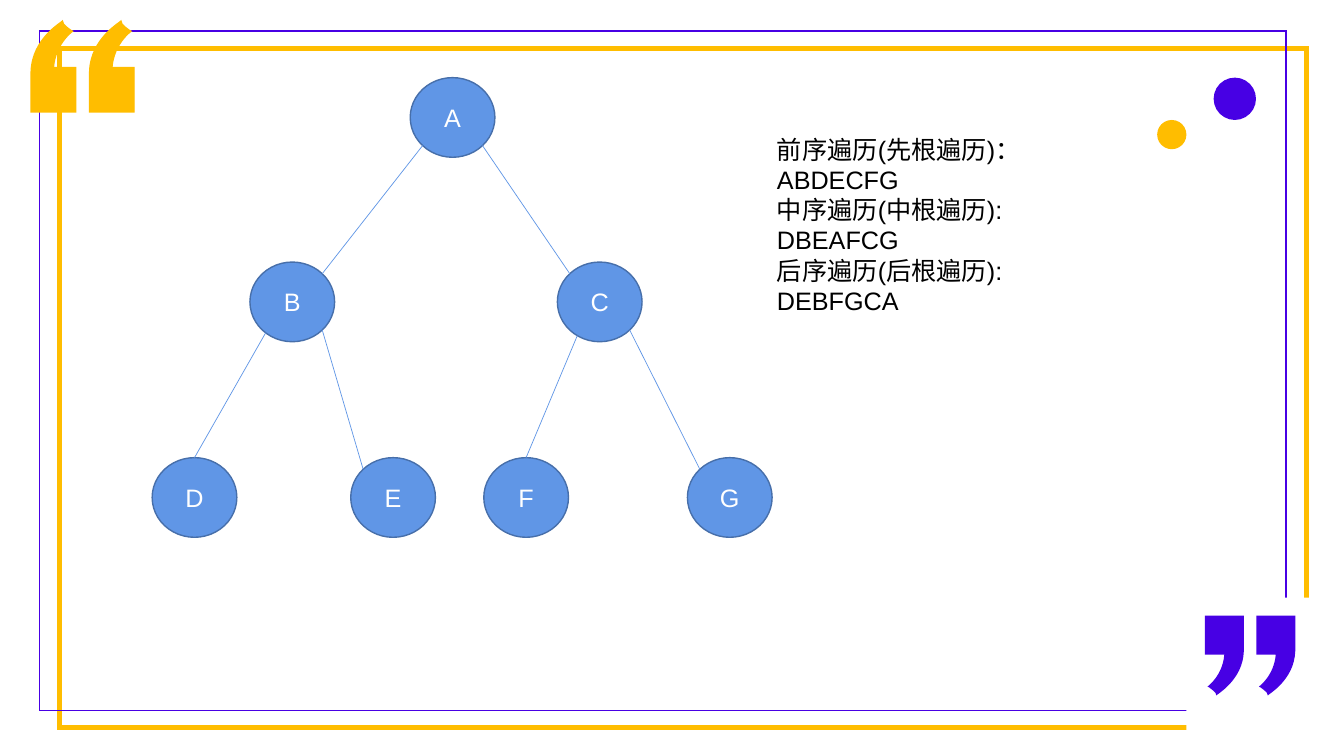
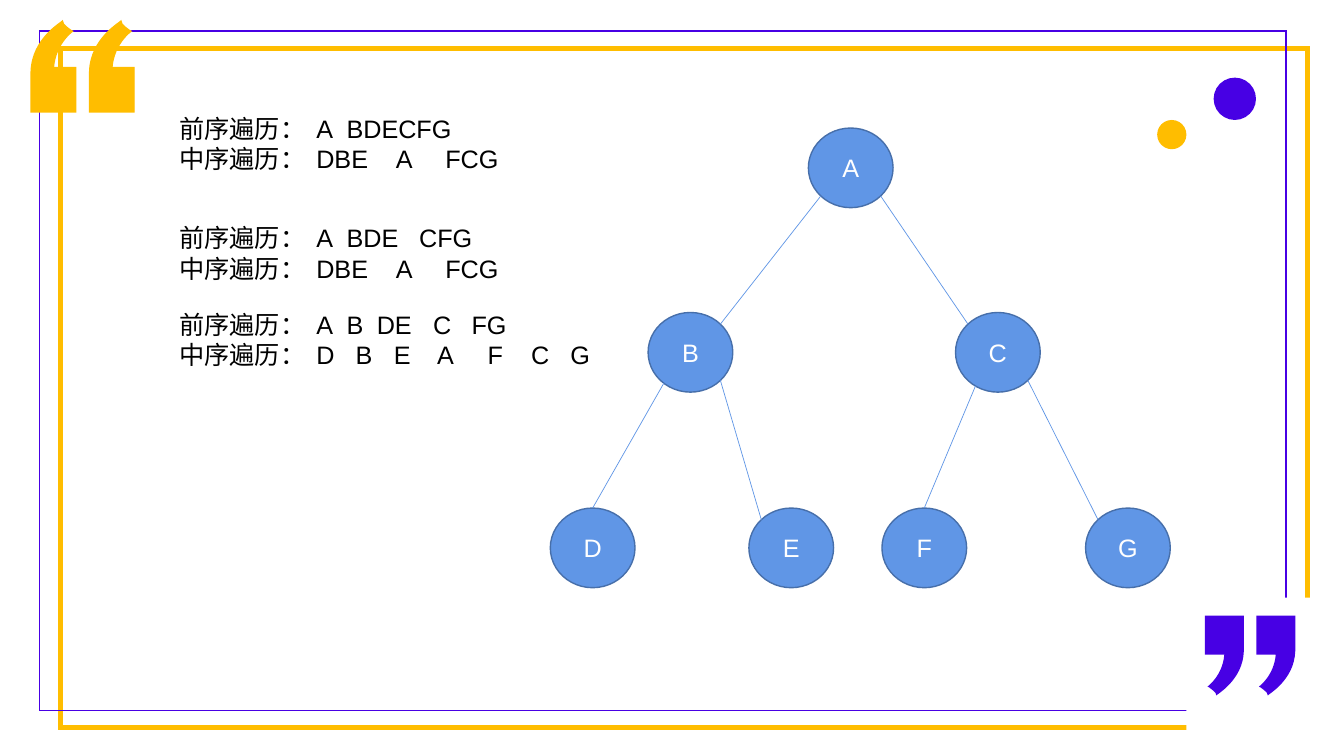
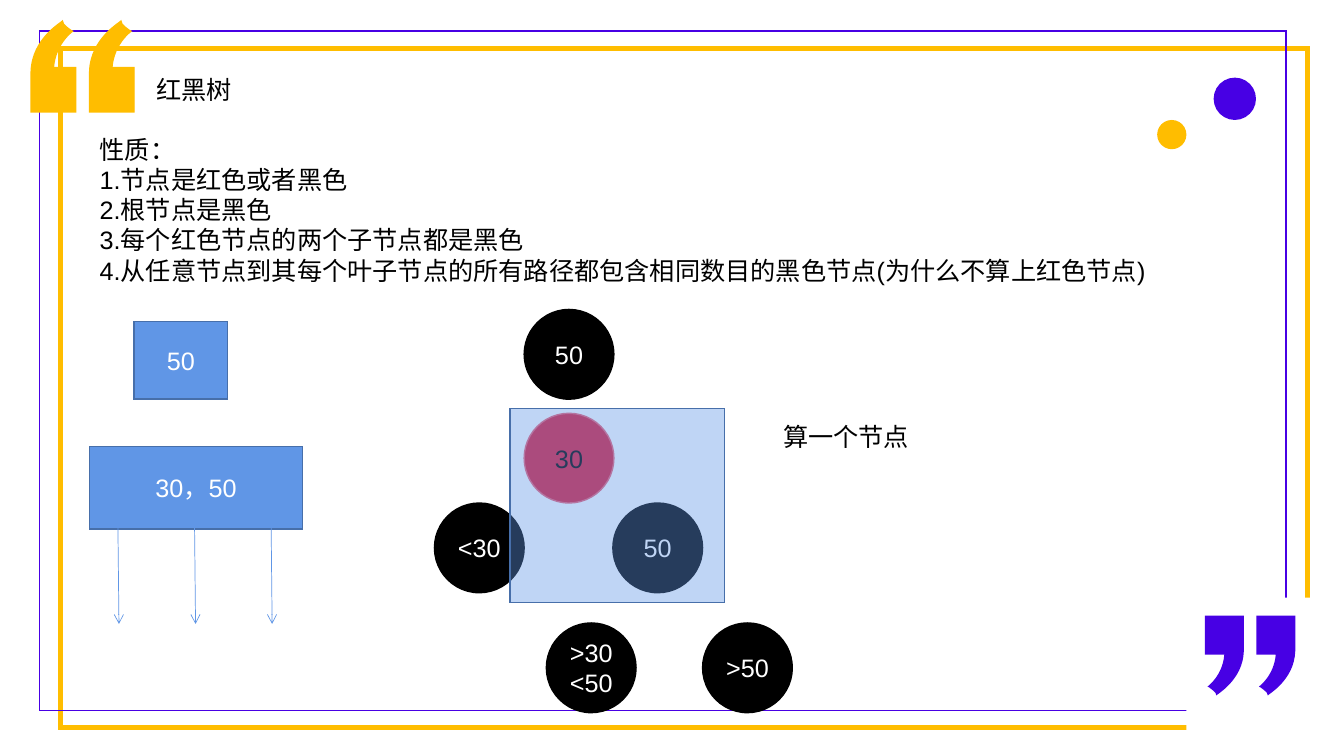
from dataclasses import dataclass
from math import cos, radians, sin

from lxml.etree import SubElement
from pptx import Presentation
from pptx.dml.color import RGBColor
from pptx.enum.shapes import MSO_CONNECTOR as Connector, MSO_SHAPE as Preset
from pptx.enum.text import MSO_ANCHOR as Anchor, MSO_AUTO_SIZE as AutoSize, PP_ALIGN as Align
from pptx.oxml.ns import qn
from pptx.util import Inches, Pt


@dataclass(frozen=True)
class Theme:
    font: str = "Arial"
    size: int = 18
    white: str = "FFFFFF"
    black: str = "000000"
    gold: str = "FFBD00"
    violet: str = "4700E4"
    blue: str = "6096E6"
    blue_edge: str = "476FAA"
    red: str = "DE1A37"
    red_edge: str = "EC5F74"
    thin: float = 0.5
    normal: float = 1
    thick: float = 3.25


THEME = Theme()
BOX_FORMAT = {"word_wrap": True, "auto_size": AutoSize.SHAPE_TO_FIT_TEXT}
LABEL_FORMAT = {
    "word_wrap": True, "vertical_anchor": Anchor.MIDDLE,
    "margin_left": 0, "margin_right": 0, "margin_top": 0, "margin_bottom": 0,
}

# Quote mark outline in inches: one point makes a line, three make a curve.
QUOTE_START = (0.31, 0)
QUOTE_STEPS = (
    [(0.32, 0.03)], [(0.34, 0.05), (0.36, 0.07), (0.39, 0.09)],
    [(0.41, 0.1)], [(0.41, 0.1), (0.24, 0.22), (0.22, 0.46)],
    [(0.44, 0.46)], [(0.44, 0.9)], [(0, 0.9)], [(0, 0.5)],
    [(0.01, 0.17), (0.31, 0.01), (0.31, 0)],
)

NODE_SIZE = (0.84, 0.79)
TREE_NODES = {
    "A": (4.07, 0.77), "B": (2.48, 2.6), "C": (5.53, 2.6),
    "D": (1.51, 4.54), "E": (3.48, 4.54), "F": (4.8, 4.54), "G": (6.82, 4.54),
}
# Parent, angle on the parent, child, angle on the child; clockwise from the right.
TREE_EDGES = (
    ("A", 135, "B", 315), ("A", 45, "C", 225),
    ("B", 129, "D", 270), ("B", 45, "E", 225),
    ("C", 122, "F", 270), ("C", 45, "G", 225),
)

PREORDER, INORDER = "前序遍历：", "中序遍历："
# Each word stands at a tab position, in inches from the text edge.
WHOLE_INORDER = (INORDER, {1.36: "DBE", 2.15: "A", 2.64: "FCG"})
TRAVERSAL_STEPS = (
    (1.07, (PREORDER, {1.36: "A", 1.66: "BDECFG"}), WHOLE_INORDER),
    (2.16, (PREORDER, {1.36: "A", 1.66: "BDE", 2.38: "CFG"}), WHOLE_INORDER),
    (3.02,
     (PREORDER, {1.36: "A", 1.66: "B", 1.96: "DE", 2.52: "C", 2.9: "FG"}),
     (INORDER, {1.36: "D", 1.75: "B", 2.13: "E", 2.56: "A", 3.06: "F", 3.49: "C", 3.88: "G"})),
)


def color(value):
    return RGBColor.from_string(value)


def apply_format(target, values):
    for name, value in values.items():
        setattr(target, name, value)


def paint(shape, fill=None, edge=None, weight=THEME.normal):
    shape.shadow.inherit = False
    if fill:
        shape.fill.solid()
        shape.fill.fore_color.rgb = color(fill)
    else:
        shape.fill.background()
    if edge:
        shape.line.color.rgb = color(edge)
        shape.line.width = Pt(weight)
        SubElement(shape._element.spPr.find(qn("a:ln")), qn("a:miter"), lim="800000")
    else:
        shape.line.fill.background()


def write(text_frame, lines, ink=THEME.black, align=Align.LEFT):
    for index, line in enumerate(lines):
        para = text_frame.paragraphs[0] if index == 0 else text_frame.add_paragraph()
        para.alignment = align
        span = para.add_run()
        span.text = line
        apply_format(span.font, {"name": THEME.font, "size": Pt(THEME.size)})
        span.font.color.rgb = color(ink)


def add_text(page, at, *lines):
    box = page.shapes.add_textbox(*map(Inches, at))
    apply_format(box.text_frame, BOX_FORMAT)
    write(box.text_frame, lines)
    return box


def add_figure(page, preset, at, fill=None, edge=None, weight=THEME.normal, lines=(), ink=THEME.white):
    figure = page.shapes.add_shape(preset, *map(Inches, at))
    paint(figure, fill, edge, weight)
    if lines:
        apply_format(figure.text_frame, LABEL_FORMAT)
        write(figure.text_frame, lines, ink, Align.CENTER)
    return figure


def add_line(page, start, end, arrow=False):
    line = page.shapes.add_connector(Connector.STRAIGHT, *map(Inches, (*start, *end)))
    line.line.color.rgb = color(THEME.blue)
    line.line.width = Pt(THEME.thin)
    properties = line._element.spPr
    if arrow:
        SubElement(properties.find(qn("a:ln")), qn("a:tailEnd"), type="arrow")
    SubElement(properties, qn("a:effectLst"))


def add_quote(page, corner, scale, fill, edge=None):
    """Draw one quote mark; a negative scale turns it half round."""
    def place(point):
        return tuple(Inches(origin + scale * part) for origin, part in zip(corner, point))

    builder = page.shapes.build_freeform(*place(QUOTE_START), scale=1)
    builder.add_line_segments([place(step[-1]) for step in QUOTE_STEPS], close=True)
    quote = builder.convert_to_shape()
    segments = list(quote._element.iter(qn("a:lnTo")))
    for segment, step in zip(segments, QUOTE_STEPS):
        if len(step) == 3:
            bend(quote, segment, map(place, step))
    paint(quote, fill, edge)


def bend(shape, segment, points):
    """Turn a straight segment of an outline into a cubic curve."""
    curve = segment.makeelement(qn("a:cubicBezTo"))
    for x, y in points:
        SubElement(curve, qn("a:pt"), x=str(x - shape.left), y=str(y - shape.top))
    segment.getparent().replace(segment, curve)


def add_page(deck, frame_left=0.6):
    """Add a blank slide with the frames, quote marks and dots."""
    page = deck.slides.add_slide(deck.slide_layouts[6])
    add_figure(page, Preset.RECTANGLE, (frame_left, 0.48, 12.37, 6.74), edge=THEME.gold, weight=THEME.thick)
    add_figure(page, Preset.RECTANGLE, (0.39, 0.31, 12.37, 6.74), edge=THEME.violet)
    add_figure(page, Preset.RECTANGLE, (11.77, 5.93, 1.34, 1.45), THEME.white)
    for left in (0.31, 0.89):
        add_quote(page, (left, 0.21), 1, THEME.gold, THEME.gold)
    for right in (12.85, 12.34):
        add_quote(page, (right, 6.9), -0.88, THEME.violet)
    add_figure(page, Preset.OVAL, (11.48, 1.19, 0.29, 0.29), THEME.gold)
    add_figure(page, Preset.OVAL, (12.04, 0.77, 0.42, 0.42), THEME.violet)
    return page


def rim_point(corner, angle):
    """Find the point of a tree node's rim at an angle in degrees."""
    turn = radians(angle)
    return tuple(start + size / 2 * (1 + part)
                 for start, size, part in zip(corner, NODE_SIZE, (cos(turn), sin(turn))))


def add_tree(page, shift_x=0, shift_y=0):
    corners = {name: (x + shift_x, y + shift_y) for name, (x, y) in TREE_NODES.items()}
    for name, corner in corners.items():
        add_figure(page, Preset.OVAL, (*corner, *NODE_SIZE), THEME.blue, THEME.blue_edge, lines=[name])
    for parent, parent_angle, child, child_angle in TREE_EDGES:
        add_line(page, rim_point(corners[parent], parent_angle), rim_point(corners[child], child_angle))


def add_tabbed_text(page, at, rows):
    lines = ["\t".join((label, *words.values())) for label, words in rows]
    box = add_text(page, at, *lines)
    for para, (_, words) in zip(box.text_frame.paragraphs, rows):
        tabs = SubElement(para._p.get_or_add_pPr(), qn("a:tabLst"))
        for position in words:
            SubElement(tabs, qn("a:tab"), pos=str(Inches(position)), algn="l")


def add_ball(page, left, top, *lines, fill=THEME.black, edge=THEME.black, ink=THEME.white):
    add_figure(page, Preset.OVAL, (left, top, 0.89, 0.89), fill, edge, lines=lines, ink=ink)


def build_traversals(deck):
    page = add_page(deck, frame_left=0.59)
    add_tree(page)
    add_text(page, (7.61, 1.28, 3.68, 1.92),
             "前序遍历(先根遍历)：", "ABDECFG",
             "中序遍历(中根遍历):", "DBEAFCG",
             "后序遍历(后根遍历):", "DEBFGCA")


def build_reconstruction(deck):
    page = add_page(deck)
    for top, *rows in TRAVERSAL_STEPS:
        add_tabbed_text(page, (1.68, top, 4.7, 0.71), rows)
    add_tree(page, 3.95, 0.5)


def build_red_black(deck):
    page = add_page(deck)
    add_text(page, (1.45, 0.69, 2.6, 0.4), "红黑树")
    add_text(page, (0.89, 1.28, 10.88, 1.61),
             "性质：",
             "1.节点是红色或者黑色",
             "2.根节点是黑色",
             "3.每个红色节点的两个子节点都是黑色",
             "4.从任意节点到其每个叶子节点的所有路径都包含相同数目的黑色节点(为什么不算上红色节点)")
    for at, label in (((1.33, 3.19, 0.93, 0.77), "50"), ((0.89, 4.43, 2.11, 0.82), "30，50")):
        add_figure(page, Preset.RECTANGLE, at, THEME.blue, THEME.blue_edge, lines=[label])
    for branch in range(3):
        left = 1.17 + 0.76 * branch
        add_line(page, (left, 5.2), (left + 0.01, 6.19), arrow=True)
    add_ball(page, 5.2, 3.07, "50")
    add_ball(page, 5.2, 4.1, "30", fill=THEME.red, edge=THEME.red_edge, ink=THEME.black)
    add_ball(page, 6.08, 4.99, "50")
    add_ball(page, 4.31, 4.99, "<30")
    add_ball(page, 5.42, 6.18, ">30", "<50")
    add_ball(page, 6.97, 6.18, ">50")
    group = add_figure(page, Preset.RECTANGLE, (5.06, 4.05, 2.13, 1.93), THEME.blue, THEME.blue_edge)
    tint = group._element.spPr.find(qn("a:solidFill")).find(qn("a:srgbClr"))
    SubElement(tint, qn("a:alpha"), val="40000")
    add_text(page, (7.67, 4.13, 1.5, 0.4), "算一个节点")


def main():
    deck = Presentation()
    apply_format(deck, {"slide_width": Inches(40 / 3), "slide_height": Inches(7.5)})
    for build in (build_traversals, build_reconstruction, build_red_black):
        build(deck)
    deck.save("out.pptx")


if __name__ == "__main__":
    main()
